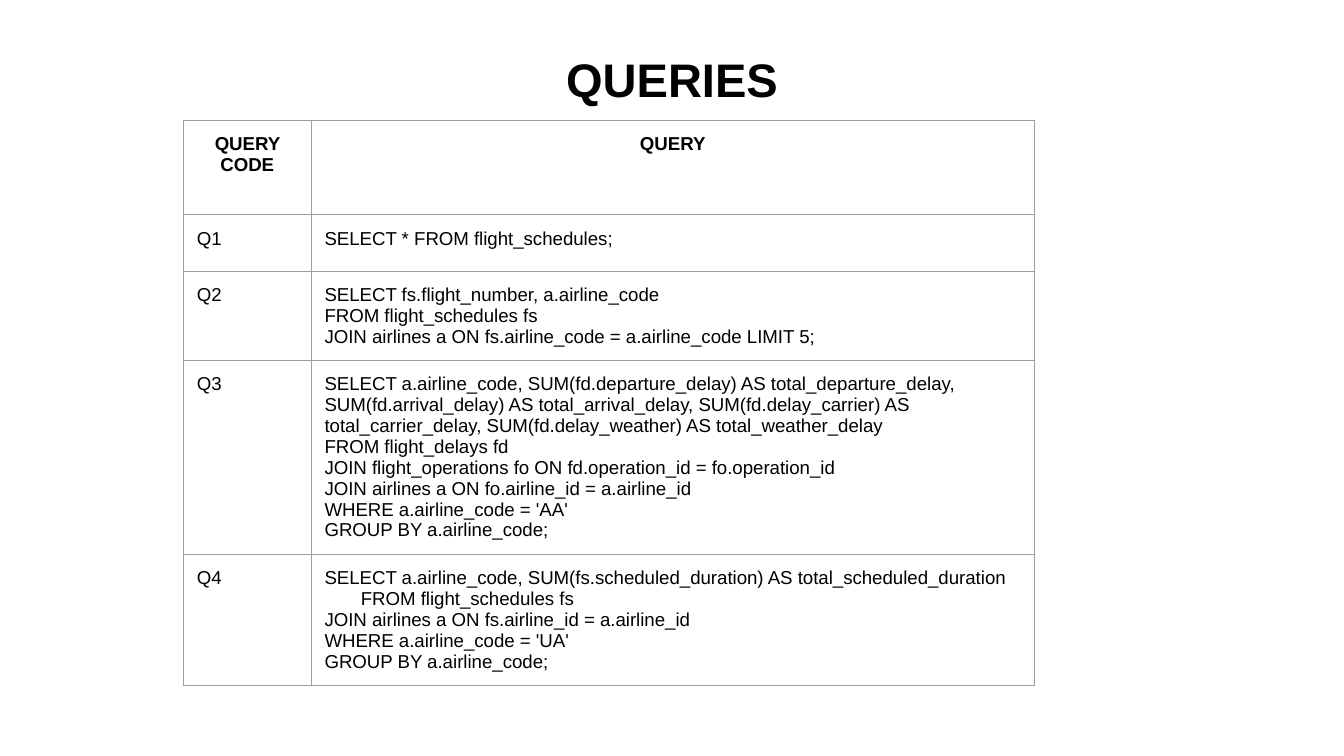
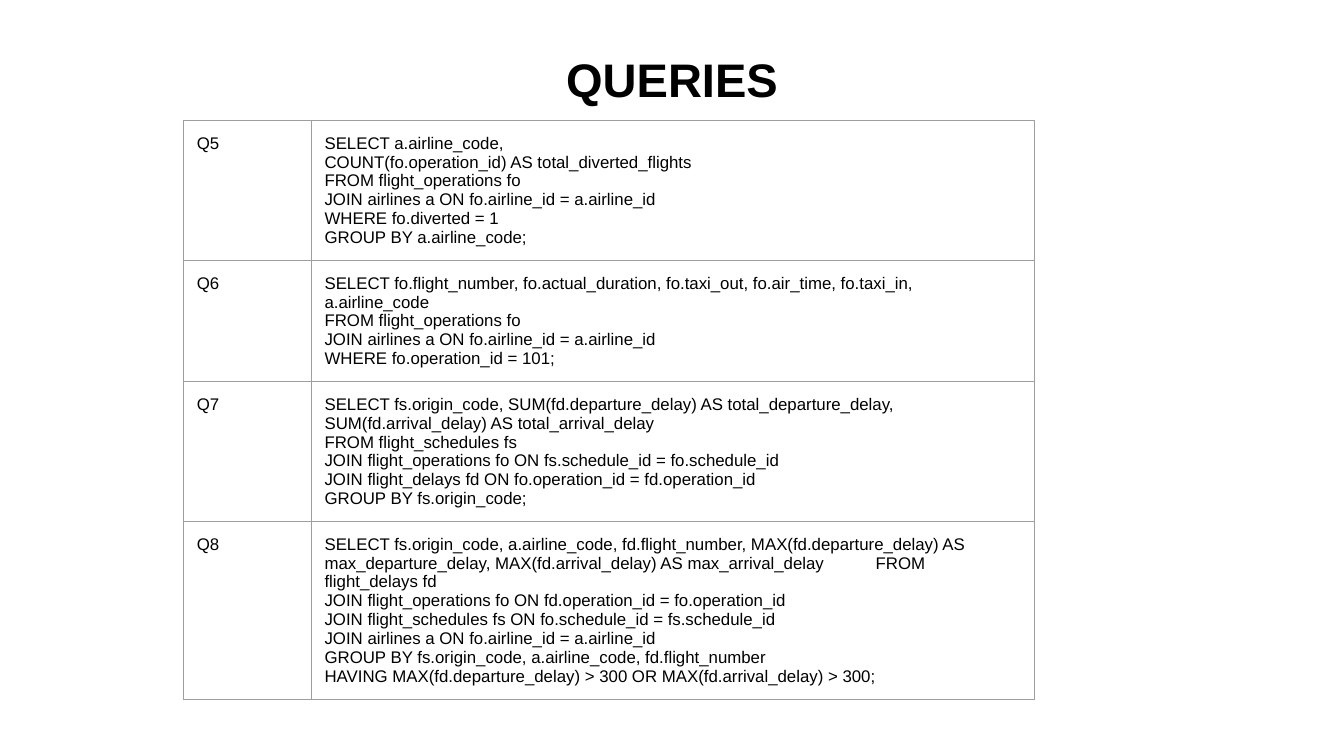
from dataclasses import dataclass
from pptx import Presentation
from pptx import util as u
from pptx.dml import color
from pptx.enum import text
from pptx.oxml import ns
from lxml import etree

WIDE = 10
HIGH = WIDE * 9 / 16
FONT = "Arial"
HUES = {"ink": "000000", "rule": "9E9E9E"}
PAD = u.Inches(0.1)
COLS = (9.5, 53.8)


@dataclass(frozen=True)
class Query:
    code: str
    lines: tuple[str, ...]
    high: float = 7.47
    head: bool = False
    tab: float = 0


@dataclass(frozen=True)
class Page:
    title: str
    size: float
    rows: tuple[Query, ...]


PAGES = (
    Page("QUERIES", 10, (
        Query("QUERY CODE", ("QUERY",), high=12.46, head=True),
        Query("Q1", ("SELECT * FROM flight_schedules;",)),
        Query("Q2", (
            "SELECT fs.flight_number, a.airline_code",
            "FROM flight_schedules fs",
            "JOIN airlines a ON fs.airline_code = a.airline_code LIMIT 5;",
        ), high=5.34),
        Query("Q3", (
            "SELECT a.airline_code, SUM(fd.departure_delay) AS total_departure_delay, "
            "SUM(fd.arrival_delay) AS total_arrival_delay, SUM(fd.delay_carrier) AS "
            "total_carrier_delay, SUM(fd.delay_weather) AS total_weather_delay",
            "FROM flight_delays fd",
            "JOIN flight_operations fo ON fd.operation_id = fo.operation_id",
            "JOIN airlines a ON fo.airline_id = a.airline_id",
            "WHERE a.airline_code = 'AA'",
            "GROUP BY a.airline_code;",
        )),
        Query("Q4", (
            "SELECT a.airline_code, SUM(fs.scheduled_duration) AS "
            "total_scheduled_duration\n\tFROM flight_schedules fs",
            "JOIN airlines a ON fs.airline_id = a.airline_id",
            "WHERE a.airline_code = 'UA'",
            "GROUP BY a.airline_code;",
        ), tab=2.7),
    )),
    Page("QUERIES", 9, (
        Query("Q5", (
            "SELECT a.airline_code,",
            "COUNT(fo.operation_id) AS total_diverted_flights",
            "FROM flight_operations fo",
            "JOIN airlines a ON fo.airline_id = a.airline_id",
            "WHERE fo.diverted = 1",
            "GROUP BY a.airline_code;",
        )),
        Query("Q6", (
            "SELECT fo.flight_number, fo.actual_duration, fo.taxi_out, "
            "fo.air_time, fo.taxi_in, a.airline_code",
            "FROM flight_operations fo",
            "JOIN airlines a ON fo.airline_id = a.airline_id",
            "WHERE fo.operation_id = 101;",
        )),
        Query("Q7", (
            "SELECT fs.origin_code, SUM(fd.departure_delay) AS "
            "total_departure_delay, SUM(fd.arrival_delay) AS total_arrival_delay",
            "FROM flight_schedules fs",
            "JOIN flight_operations fo ON fs.schedule_id = fo.schedule_id",
            "JOIN flight_delays fd ON fo.operation_id = fd.operation_id",
            "GROUP BY fs.origin_code;",
        )),
        Query("Q8", (
            "SELECT fs.origin_code, a.airline_code, fd.flight_number, "
            "MAX(fd.departure_delay) AS max_departure_delay, "
            "MAX(fd.arrival_delay) AS max_arrival_delay\tFROM flight_delays fd",
            "JOIN flight_operations fo ON fd.operation_id = fo.operation_id",
            "JOIN flight_schedules fs ON fo.schedule_id = fs.schedule_id",
            "JOIN airlines a ON fo.airline_id = a.airline_id",
            "GROUP BY fs.origin_code, a.airline_code, fd.flight_number",
            "HAVING MAX(fd.departure_delay) > 300 OR MAX(fd.arrival_delay) > 300;",
        ), tab=41),
    )),
)


def across(share: float) -> int:
    return u.Inches(WIDE * share / 100)


def down(share: float) -> int:
    return u.Inches(HIGH * share / 100)


def pad(area) -> None:
    area.margin_left = area.margin_right = PAD
    area.margin_top = area.margin_bottom = PAD


def write(para, words: str, size: float, bold: bool = False) -> None:
    for spot, part in enumerate(words.split("\n")):
        if spot:
            para.add_line_break()
        run = para.add_run()
        run.text = part
        run.font.name = FONT
        run.font.size = u.Pt(size)
        run.font.bold = bold
        run.font.color.rgb = color.RGBColor.from_string(HUES["ink"])


def stop(para, share: float) -> None:
    tabs = etree.SubElement(para._p.get_or_add_pPr(), ns.qn("a:tabLst"))
    etree.SubElement(tabs, ns.qn("a:tab"), pos=str(across(share)), algn="l")


def edge(cell) -> None:
    props = cell._tc.get_or_add_tcPr()
    for spot, side in enumerate("LRTB"):
        line = etree.Element(ns.qn(f"a:ln{side}"), w=str(u.Pt(0.75)))
        fill = etree.SubElement(line, ns.qn("a:solidFill"))
        etree.SubElement(fill, ns.qn("a:srgbClr"), val=HUES["rule"])
        props.insert(spot, line)


def fill(cell, lines: tuple[str, ...], row: Query, size: float) -> None:
    pad(cell)
    cell.fill.background()
    edge(cell)
    frame = cell.text_frame
    for spot, words in enumerate(lines):
        para = frame.add_paragraph() if spot else frame.paragraphs[0]
        if "\t" in words:
            stop(para, row.tab)
        para.alignment = text.PP_ALIGN.CENTER if row.head else text.PP_ALIGN.LEFT
        write(para, words, size, row.head)


def head(slide, words: str) -> None:
    title = slide.shapes.title
    title.left, title.top = across(3.4), down(4.7)
    title.width, title.height = across(93.2), down(11.2)
    frame = title.text_frame
    pad(frame)
    frame.word_wrap = True
    frame.auto_size = text.MSO_AUTO_SIZE.NONE
    frame.vertical_anchor = text.MSO_ANCHOR.BOTTOM
    para = frame.paragraphs[0]
    para.alignment = text.PP_ALIGN.CENTER
    write(para, words, 25.2, True)


def grid(slide, page: Page) -> None:
    tall = sum(row.high for row in page.rows)
    table = slide.shapes.add_table(
        len(page.rows), len(COLS),
        across(13.65), down(15.95), across(sum(COLS)), down(tall),
    ).table
    table.first_row = table.horz_banding = False
    for col, share in zip(table.columns, COLS):
        col.width = across(share)
    for spot, row in enumerate(page.rows):
        table.rows[spot].height = down(row.high)
        fill(table.cell(spot, 0), (row.code,), row, page.size)
        fill(table.cell(spot, 1), row.lines, row, page.size)


def main() -> None:
    deck = Presentation()
    deck.slide_width, deck.slide_height = u.Inches(WIDE), u.Inches(HIGH)
    for page in PAGES:
        slide = deck.slides.add_slide(deck.slide_layouts[5])
        head(slide, page.title)
        grid(slide, page)
    deck.save("out.pptx")


if __name__ == "__main__":
    main()
